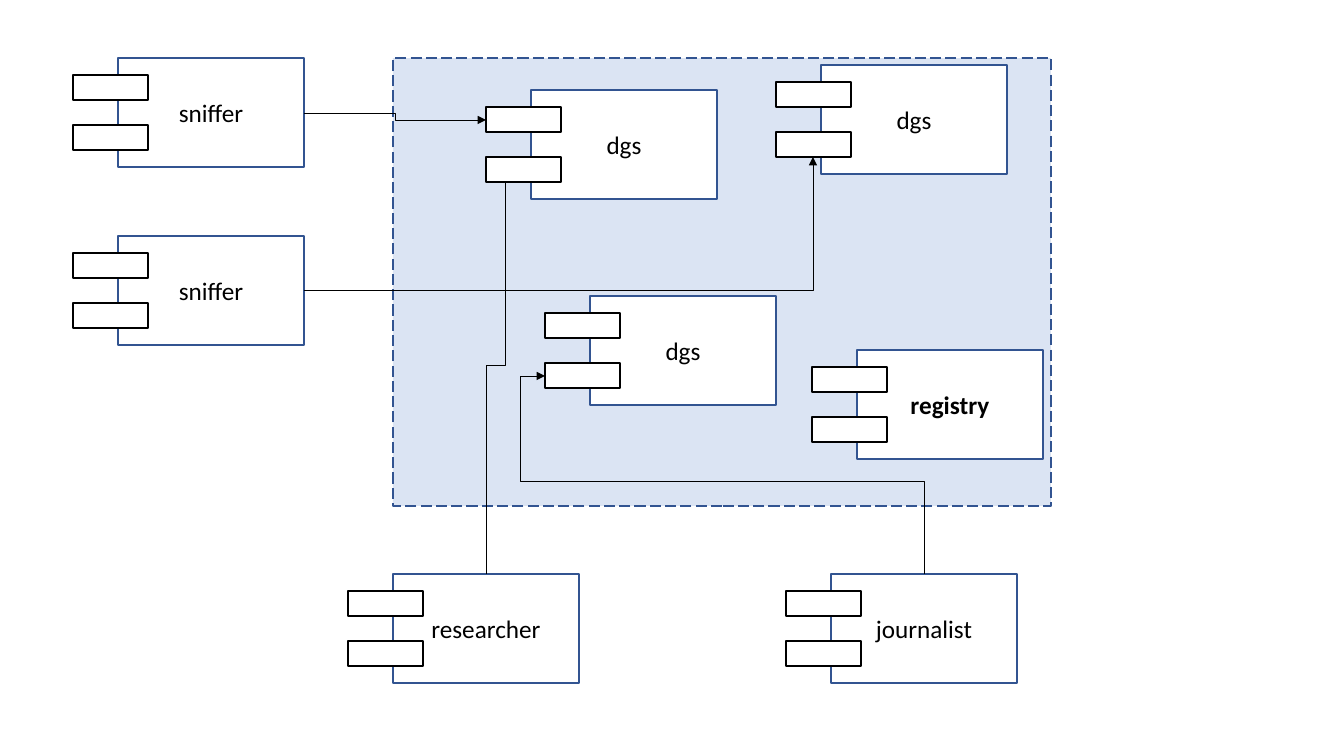
from lxml.etree import SubElement
from pptx import Presentation
from pptx.dml.color import RGBColor
from pptx.enum.dml import MSO_LINE
from pptx.enum.shapes import MSO_CONNECTOR, MSO_SHAPE
from pptx.enum.text import MSO_ANCHOR, PP_ALIGN
from pptx.oxml.ns import qn
from pptx.util import Emu, Pt

PX = 914400 / 100.8
BLUE, BLACK, WHITE = "325491", "000000", "FFFFFF"
BODY_W, BODY_H = 186, 109
TAB_W, TAB_H, TAB_OUT = 75, 25, 45


def px(n):
    """Turn pixels into EMU."""
    return Emu(round(n * PX))


def color(value):
    """Turn a hex string into a colour."""
    return RGBColor.from_string(value)


def rect(shapes, box, fill, line):
    """Add a plain outlined rectangle, unfilled when fill is None."""
    sp = shapes.add_shape(MSO_SHAPE.RECTANGLE, *map(px, box))
    sp.shadow.inherit = False
    if fill:
        sp.fill.solid()
        sp.fill.fore_color.rgb = color(fill)
    else:
        sp.fill.background()
    sp.line.color.rgb = color(line)
    sp.line.width = Pt(1)
    return sp


def cluster(s, box):
    """Add the translucent dashed panel around the servers."""
    sp = rect(s.shapes, box, "4472C4", BLUE)
    sp.line.dash_style = MSO_LINE.LONG_DASH
    clr = sp._element.spPr.find(qn("a:solidFill"))[0]
    SubElement(clr, qn("a:alpha"), val="19000")


def component(s, name, x, y, fill=None, bold=False):
    """Add a grouped component: a labelled body with two tabs on its left edge."""
    shapes = s.shapes.add_group_shape().shapes
    body = rect(shapes, (x, y, BODY_W, BODY_H), fill, BLUE)
    tf = body.text_frame
    tf.word_wrap = True
    tf.vertical_anchor = MSO_ANCHOR.MIDDLE
    p = tf.paragraphs[0]
    p.text = name
    p.alignment = PP_ALIGN.CENTER
    font = p.runs[0].font
    font.name, font.size, font.bold = "Calibri", Pt(18), bold
    font.color.rgb = color(BLACK)
    for dy in (17, 67):
        rect(shapes, (x - TAB_OUT, y + dy, TAB_W, TAB_H), WHITE, BLACK)


def elbow(s, start, end, bends=3, turn=0, adjust=()):
    """Add a bent arrow, laid out in a frame turned by 0, 90 or 270 degrees."""
    (x1, y1), (x2, y2) = start, end
    dx, dy = x2 - x1, y2 - y1
    w, h = {0: (dx, dy), 90: (dy, -dx), 270: (-dy, dx)}[turn]
    cx, cy = (x1 + x2) / 2, (y1 + y2) / 2
    ends = (cx - w / 2, cy - h / 2, cx + w / 2, cy + h / 2)
    c = s.shapes.add_connector(MSO_CONNECTOR.ELBOW, *map(px, ends))
    c.line.color.rgb = color(BLACK)
    c.line.width = Pt(0.5)
    SubElement(c.line._get_or_add_ln(), qn("a:tailEnd"), type="triangle")
    spPr = c._element.spPr
    SubElement(spPr, qn("a:effectLst"))
    if turn:
        spPr.find(qn("a:xfrm")).set("rot", str(turn * 60000))
    geom = spPr.find(qn("a:prstGeom"))
    geom.set("prst", f"bentConnector{bends}")
    for i, value in enumerate(adjust, 1):
        SubElement(geom.find(qn("a:avLst")), qn("a:gd"), name=f"adj{i}", fmla=f"val {value}")


def main():
    """Build the component diagram."""
    prs = Presentation()
    prs.slide_width, prs.slide_height = px(1344), px(756)
    s = prs.slides.add_slide(prs.slide_layouts[6])

    cluster(s, (393, 58, 658, 448))
    component(s, "dgs", 590, 296, WHITE)
    for name, x, y in (("journalist", 831, 574), ("researcher", 393, 574),
                       ("sniffer", 118, 58), ("sniffer", 118, 236)):
        component(s, name, x, y)

    elbow(s, (304, 113), (486, 120))
    elbow(s, (304, 290), (813, 157), bends=2)
    elbow(s, (486, 574), (505, 157), turn=90)
    elbow(s, (924, 574), (545, 376), bends=4, turn=270, adjust=(46900, 106600))

    component(s, "dgs", 821, 65, WHITE)
    component(s, "dgs", 531, 90, WHITE)
    component(s, "registry", 857, 350, WHITE, bold=True)
    prs.save("out.pptx")


main()
